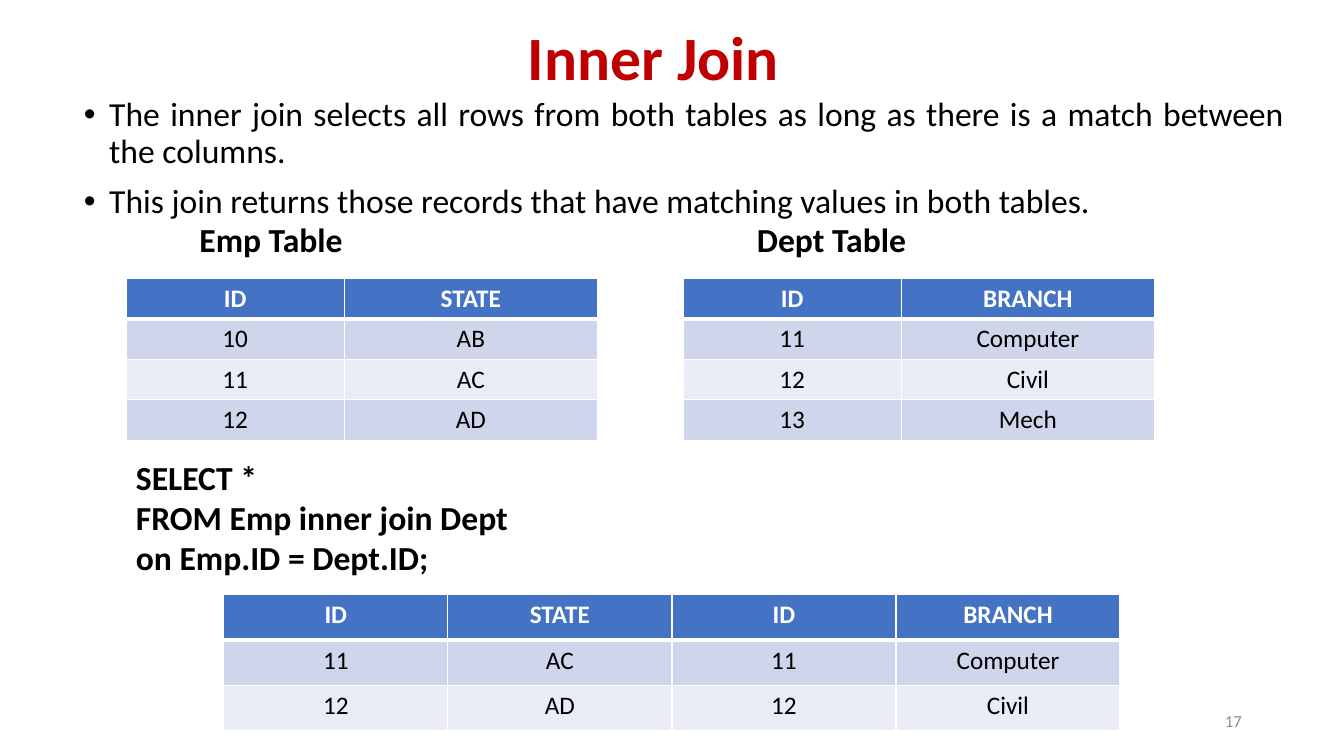
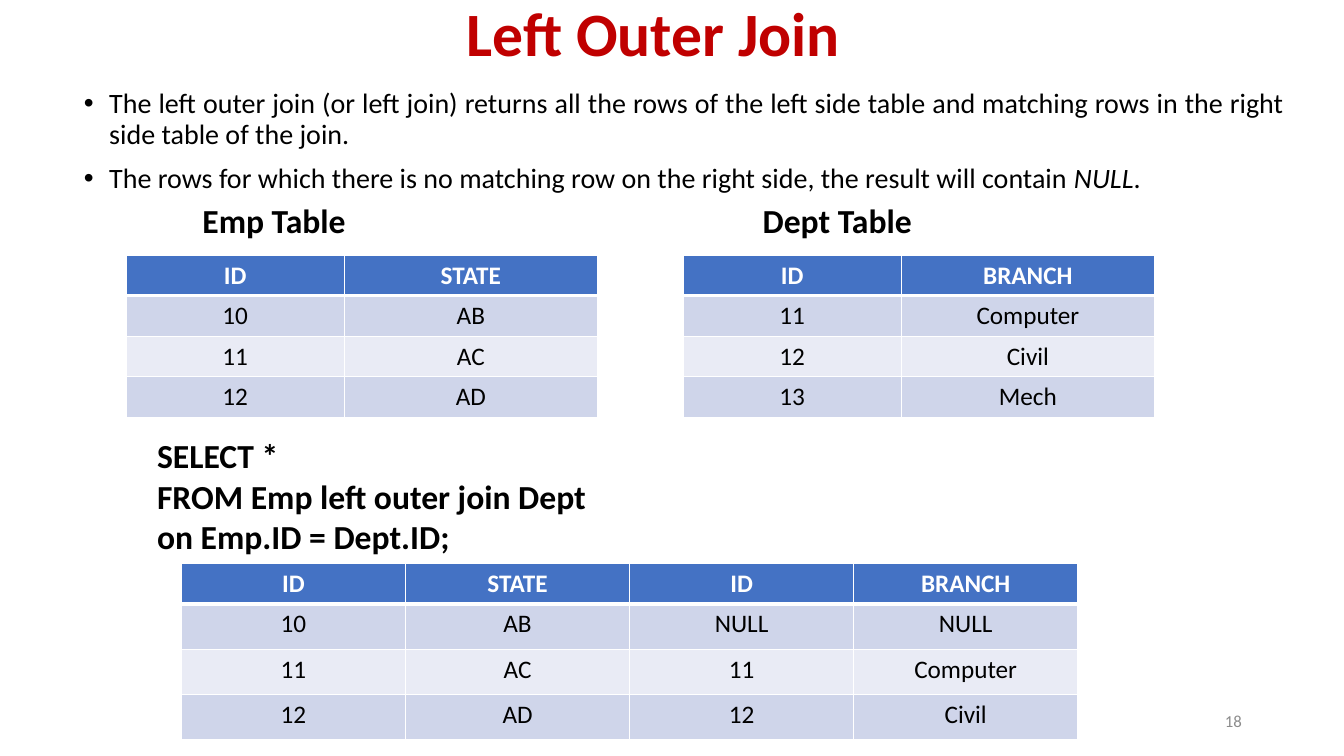
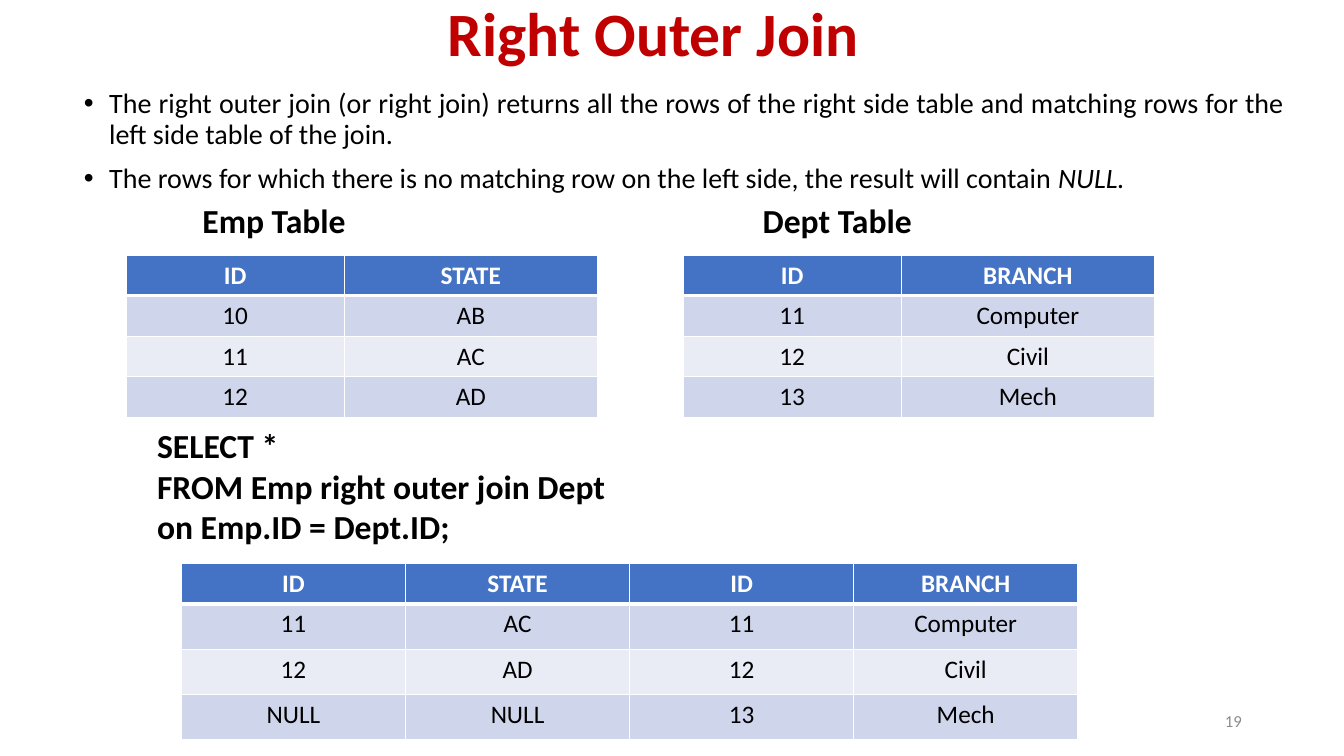
from dataclasses import dataclass

from lxml.etree import SubElement
from pptx import Presentation
from pptx.dml.color import RGBColor
from pptx.enum.text import MSO_ANCHOR, MSO_AUTO_SIZE, PP_ALIGN
from pptx.oxml.ns import qn
from pptx.util import Emu, Inches, Pt


# Theme: colours, font and type sizes
@dataclass(frozen=True)
class Theme:
    font: str = "Calibri"
    title: str = "C00000"
    text: str = "000000"
    number: str = "8C8C8C"
    white: str = "FFFFFF"
    header: str = "4472C4"
    bands: tuple = ("CFD5EA", "E9EBF5")
    title_size: int = 44
    label_size: int = 24
    table_size: int = 18
    number_size: int = 12
    thin: int = 1
    thick: int = 3


# Vertical and horizontal places that differ between slides, in grid units
@dataclass(frozen=True)
class Arrangement:
    title_top: float
    body_top: float
    body_size: int
    heading_lefts: tuple
    heading_top: float
    source_top: float
    query_left: float
    result_left: float
    result_top: float
    result_header: float


@dataclass(frozen=True)
class Join:
    title: str
    bullets: list
    query: list
    query_top: float
    rows: list
    arrangement: Arrangement


THEME = Theme()
WIDTH, HEIGHT = Inches(13.33), Inches(7.5)
GRID_COLUMNS, GRID_ROWS = 40, 30
FIRST_NUMBER = 17

ROOMY = Arrangement(-0.48, 3.68, 24, (5.64, 22.23), 8.48, 11.04,
                    3.75, 6.66, 23.6, 1.8)
COMPACT = Arrangement(-1.44, 3.36, 20, (5.73, 22.4), 7.72, 10.12,
                      4.38, 5.4, 22.36, 1.6)

# Source tables: heading, heading width, table left, rows
SOURCES = [
    ("Emp Table", 7.62, 3.75,
     [("ID", "STATE"), ("10", "AB"), ("11", "AC"), ("12", "AD")]),
    ("Dept Table", 9.24, 20.33,
     [("ID", "BRANCH"), ("11", "Computer"), ("12", "Civil"), ("13", "Mech")]),
]
SOURCE_COLUMNS = [6.5, 7.53]
RESULT_COLUMNS = [6.67] * 4
RESULT_HEADER = ("ID", "STATE", "ID", "BRANCH")

# Each bullet is a list of (text, italic) spans
JOINS = [
    Join("Inner Join",
         [[("The inner join selects all rows from both tables as long as "
            "there is a match between the columns.", False)],
          [("This join returns those records that have matching values in "
            "both tables.", False)]],
         ["SELECT *", "FROM Emp inner join Dept", "on Emp.ID = Dept.ID;"],
         17.92,
         [("11", "AC", "11", "Computer"), ("12", "AD", "12", "Civil")],
         ROOMY),
    Join("Left Outer Join",
         [[("The left outer join (or left join) returns all the rows of the "
            "left side table and matching rows in the right side table of "
            "the join.", False)],
          [("The rows for which there is no matching row on the right side, "
            "the result will contain ", False), ("NULL", True), (".", False)]],
         ["SELECT *", "FROM Emp left outer join Dept", "on Emp.ID = Dept.ID;"],
         17.08,
         [("10", "AB", "NULL", "NULL"), ("11", "AC", "11", "Computer"),
          ("12", "AD", "12", "Civil")],
         COMPACT),
    Join("Right Outer Join",
         [[("The right outer join (or right join) returns all the rows of "
            "the right side table and matching rows for the left side table "
            "of the join.", False)],
          [("The rows for which there is no matching row on the left side, "
            "the result will contain ", False), ("NULL.", True)]],
         ["SELECT *", "FROM Emp right outer join Dept", "on Emp.ID = Dept.ID;"],
         16.68,
         [("11", "AC", "11", "Computer"), ("12", "AD", "12", "Civil"),
          ("NULL", "NULL", "13", "Mech")],
         COMPACT),
]


# Grid and text helpers
def across(columns):
    return Emu(round(columns * WIDTH / GRID_COLUMNS))


def down(rows):
    return Emu(round(rows * HEIGHT / GRID_ROWS))


def area(left, top, width, height):
    return across(left), down(top), across(width), down(height)


def move(shape, place):
    shape.left, shape.top, shape.width, shape.height = place


def add_span(para, text, size, color, bold=False, italic=False):
    span = para.add_run()
    span.text = text
    span.font.name = THEME.font
    span.font.size = Pt(size)
    span.font.color.rgb = RGBColor.from_string(color)
    span.font.bold = bold
    span.font.italic = italic


def paragraphs(frame, items):
    """Yield each item with its own paragraph, starting from the first."""
    for index, item in enumerate(items):
        yield (frame.add_paragraph() if index else frame.paragraphs[0]), item


# Title and bullet list in the template's placeholders
def set_title(page, text, top):
    title = page.shapes.title
    move(title, area(2.2, top, 34.5, 5.8))
    frame = title.text_frame
    frame.auto_size = MSO_AUTO_SIZE.NONE
    frame.vertical_anchor = MSO_ANCHOR.MIDDLE
    para = frame.paragraphs[0]
    para.alignment = PP_ALIGN.CENTER
    para.line_spacing = 0.9
    add_span(para, text, THEME.title_size, THEME.title, bold=True)


def add_bullet(para):
    properties = para._p.get_or_add_pPr()
    properties.set("marL", str(Inches(0.25)))
    properties.set("indent", str(-Inches(0.25)))
    SubElement(properties, qn("a:buFont"), typeface="Arial")
    SubElement(properties, qn("a:buChar"), char="•")


def set_bullets(page, bullets, top, size):
    body = page.placeholders[1]
    move(body, area(2.2, top, 36.33, 19.04))
    frame = body.text_frame
    frame.auto_size = MSO_AUTO_SIZE.NONE
    frame.vertical_anchor = MSO_ANCHOR.TOP
    for para, spans in paragraphs(frame, bullets):
        add_bullet(para)
        para.alignment = PP_ALIGN.JUSTIFY
        para.line_spacing = 0.9
        para.space_before = Pt(0 if spans is bullets[0] else 10)
        for text, italic in spans:
            add_span(para, text, size, THEME.text, italic=italic)


# Text boxes: table headings, queries and slide numbers
def add_label(page, lines, place):
    box = page.shapes.add_textbox(*place)
    frame = box.text_frame
    frame.word_wrap = True
    frame.auto_size = MSO_AUTO_SIZE.SHAPE_TO_FIT_TEXT
    for para, line in paragraphs(frame, lines):
        add_span(para, line, THEME.label_size, THEME.text, bold=True)


def add_number(page, number):
    box = page.shapes.add_textbox(*area(28.26, 27.8, 9, 1.6))
    frame = box.text_frame
    frame.word_wrap = True
    frame.vertical_anchor = MSO_ANCHOR.MIDDLE
    para = frame.paragraphs[0]
    para.alignment = PP_ALIGN.RIGHT
    add_span(para, str(number), THEME.number_size, THEME.number)


# Tables
def set_borders(cell, top, bottom):
    properties = cell._tc.get_or_add_tcPr()
    widths = {"L": THEME.thin, "R": THEME.thin, "T": top, "B": bottom}
    for side, width in widths.items():
        line = SubElement(properties, qn(f"a:ln{side}"), w=str(Pt(width)))
        fill = SubElement(line, qn("a:solidFill"))
        SubElement(fill, qn("a:srgbClr"), val=THEME.white)


def fill_cell(cell, text, row):
    is_header = row == 0
    set_borders(cell,
                top=THEME.thick if row == 1 else THEME.thin,
                bottom=THEME.thick if is_header else THEME.thin)
    background = THEME.header if is_header else THEME.bands[(row - 1) % 2]
    cell.fill.solid()
    cell.fill.fore_color.rgb = RGBColor.from_string(background)
    para = cell.text_frame.paragraphs[0]
    para.alignment = PP_ALIGN.CENTER
    add_span(para, text, THEME.table_size,
             THEME.white if is_header else THEME.text, bold=is_header)


def add_grid(page, rows, left, top, widths, header_height, row_height):
    heights = [header_height] + [row_height] * (len(rows) - 1)
    place = area(left, top, sum(widths), sum(heights))
    table = page.shapes.add_table(len(rows), len(widths), *place).table
    for column, width in zip(table.columns, widths):
        column.width = across(width)
    for index, (row, height) in enumerate(zip(table.rows, heights)):
        row.height = down(height)
        for cell, text in zip(row.cells, rows[index]):
            fill_cell(cell, text, index)


# One slide: bullets, two source tables, query and result
def add_join(deck, join, number):
    page = deck.slides.add_slide(deck.slide_layouts[1])
    places = join.arrangement
    set_title(page, join.title, places.title_top)
    set_bullets(page, join.bullets, places.body_top, places.body_size)
    add_number(page, number)
    for source, heading_left in zip(SOURCES, places.heading_lefts):
        heading, heading_width, left, rows = source
        add_grid(page, rows, left, places.source_top, SOURCE_COLUMNS, 1.61, 1.61)
        add_label(page, [heading],
                  area(heading_left, places.heading_top, heading_width, 2))
    add_label(page, join.query, area(places.query_left, join.query_top, 20, 5.24))
    add_grid(page, [RESULT_HEADER] + join.rows, places.result_left,
             places.result_top, RESULT_COLUMNS, places.result_header, 1.8)


def main():
    deck = Presentation()
    deck.slide_width, deck.slide_height = WIDTH, HEIGHT
    for number, join in enumerate(JOINS, start=FIRST_NUMBER):
        add_join(deck, join, number)
    deck.save("out.pptx")


if __name__ == "__main__":
    main()
